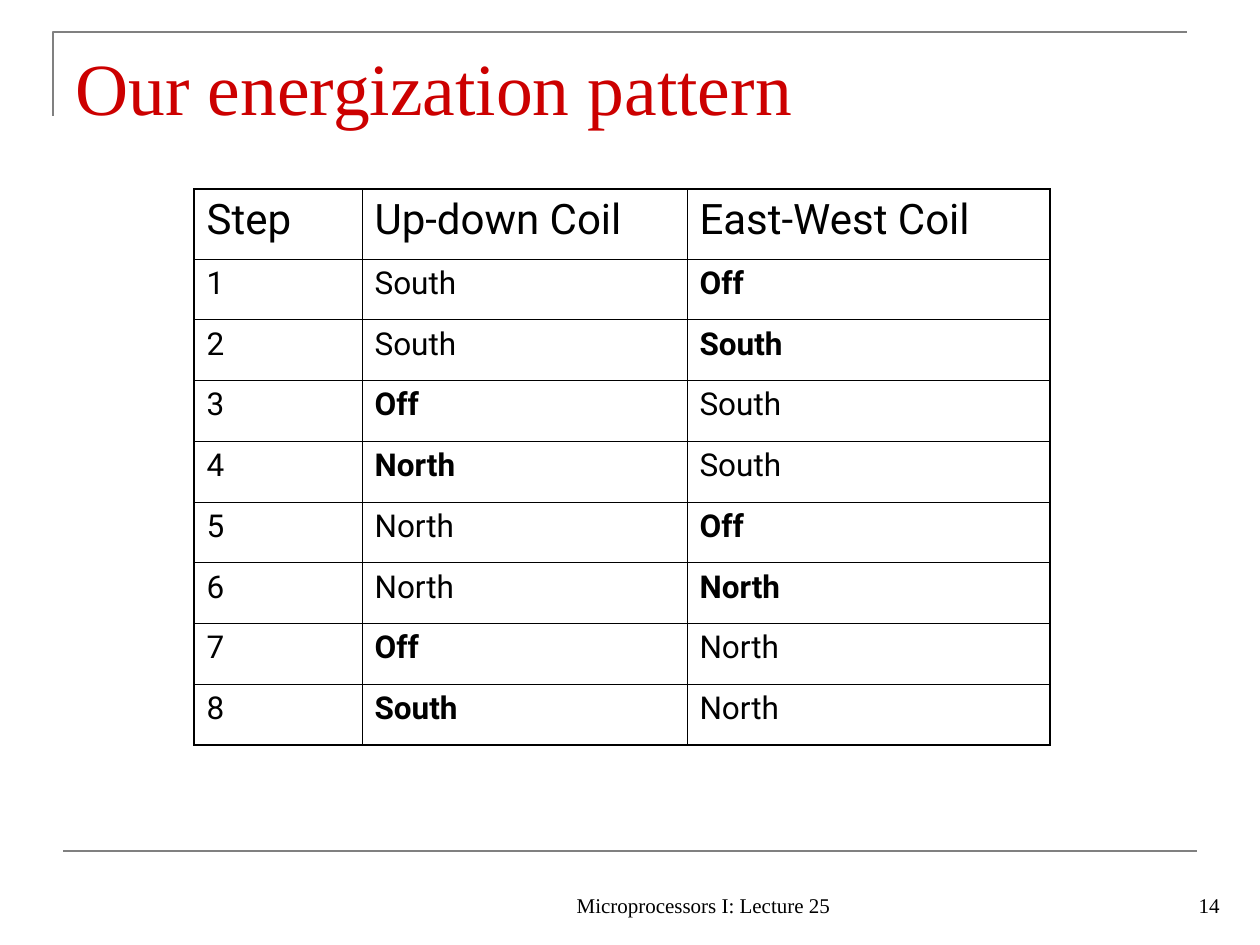
from lxml.etree import SubElement
from pptx import Presentation
from pptx.dml.color import RGBColor
from pptx.enum.shapes import MSO_CONNECTOR
from pptx.enum.text import MSO_ANCHOR, PP_ALIGN
from pptx.oxml.ns import qn
from pptx.util import Emu, Pt

SERIF = "Times New Roman"
SANS = "Roboto"
BLACK, GRAY, RED = "000000", "808080", "CC0000"
THIN, THICK = 0.45, 1.08

HEADS = ["Step", "Up-down Coil", "East-West Coil"]
COILS = [
    ("South", "Off"),
    ("South", "South"),
    ("Off", "South"),
    ("North", "South"),
    ("North", "Off"),
    ("North", "North"),
    ("Off", "North"),
    ("South", "North"),
]
WIDTHS = [168, 325, 363]


def px(n):
    return Emu(round(n * 914400 / 126))


def color(code):
    return RGBColor.from_string(code)


def style_line(line):
    line.color.rgb = color(GRAY)
    line.width = Pt(1.5)


def style_text(para, font, size, code, bold=False):
    for run in para.runs:
        run.font.name = font
        run.font.size = Pt(size)
        run.font.color.rgb = color(code)
        run.font.bold = bold


def add_text(slide, text, x, y, w, h, size, code, align=PP_ALIGN.LEFT):
    frame = slide.shapes.add_textbox(px(x), px(y), px(w), px(h)).text_frame
    frame.word_wrap = True
    frame.vertical_anchor = MSO_ANCHOR.BOTTOM
    frame.text = text
    para = frame.paragraphs[0]
    para.alignment = align
    style_text(para, SERIF, size, code)


def add_corner(slide):
    pen = slide.shapes.build_freeform(px(53), px(116))
    pen.add_line_segments([(px(53), px(32)), (px(1187), px(32))], close=False)
    shape = pen.convert_to_shape()
    shape.shadow.inherit = False
    shape.fill.background()
    style_line(shape.line)


def add_rule(slide):
    rule = slide.shapes.add_connector(
        MSO_CONNECTOR.STRAIGHT, px(63), px(851), px(1197), px(851))
    style_line(rule.line)
    SubElement(rule._element.spPr, qn("a:effectLst"))


def set_edge(cell, side, width):
    props = cell._tc.get_or_add_tcPr()
    edge = SubElement(props, qn("a:ln" + side), w=str(Pt(width)))
    fill = SubElement(edge, qn("a:solidFill"))
    SubElement(fill, qn("a:srgbClr"), val=BLACK)


def fill_cell(cell, text, size, bold, outer):
    cell.text_frame.text = text
    style_text(cell.text_frame.paragraphs[0], SANS, size, BLACK, bold)
    cell.margin_left = cell.margin_right = Pt(7.2)
    cell.margin_top = cell.margin_bottom = Pt(3.6)
    for side in "LRTB":
        set_edge(cell, side, THICK if side in outer else THIN)
    cell.fill.background()


def add_steps(slide):
    rows = [HEADS] + [(str(n), *pair) for n, pair in enumerate(COILS, 1)]
    table = slide.shapes.add_table(
        len(rows), len(HEADS), px(194), px(189), px(sum(WIDTHS)), px(556)).table
    table.first_row = table.horz_banding = False
    for col, width in zip(table.columns, WIDTHS):
        col.width = px(width)
    for r, row in enumerate(rows):
        table.rows[r].height = px(486) // len(COILS) if r else px(70)
        for c, text in enumerate(row):
            # Bold marks a coil that changed since the step before, in a cycle
            bold = r > 0 and c > 0 and text != COILS[r - 2][c - 1]
            outer = [side for side, on in (
                ("L", c == 0), ("R", c == len(HEADS) - 1),
                ("T", r == 0), ("B", r == len(rows) - 1)) if on]
            fill_cell(table.cell(r, c), text, 18 if r else 24, bold, outer)


def main():
    deck = Presentation()
    deck.slide_width, deck.slide_height = px(1260), px(945)
    slide = deck.slides.add_slide(deck.slide_layouts[6])

    # Frame lines
    add_corner(slide)
    add_rule(slide)

    # Footer and page number
    add_text(slide, "Microprocessors I: Lecture 25", 504, 861, 399, 63,
             12, BLACK, PP_ALIGN.CENTER)
    add_text(slide, "14", 970, 861, 262, 63, 12, BLACK, PP_ALIGN.RIGHT)

    # Title and table
    add_text(slide, "Our energization pattern", 63, 29, 1169, 107, 42, RED)
    add_steps(slide)

    deck.save("out.pptx")


if __name__ == "__main__":
    main()
